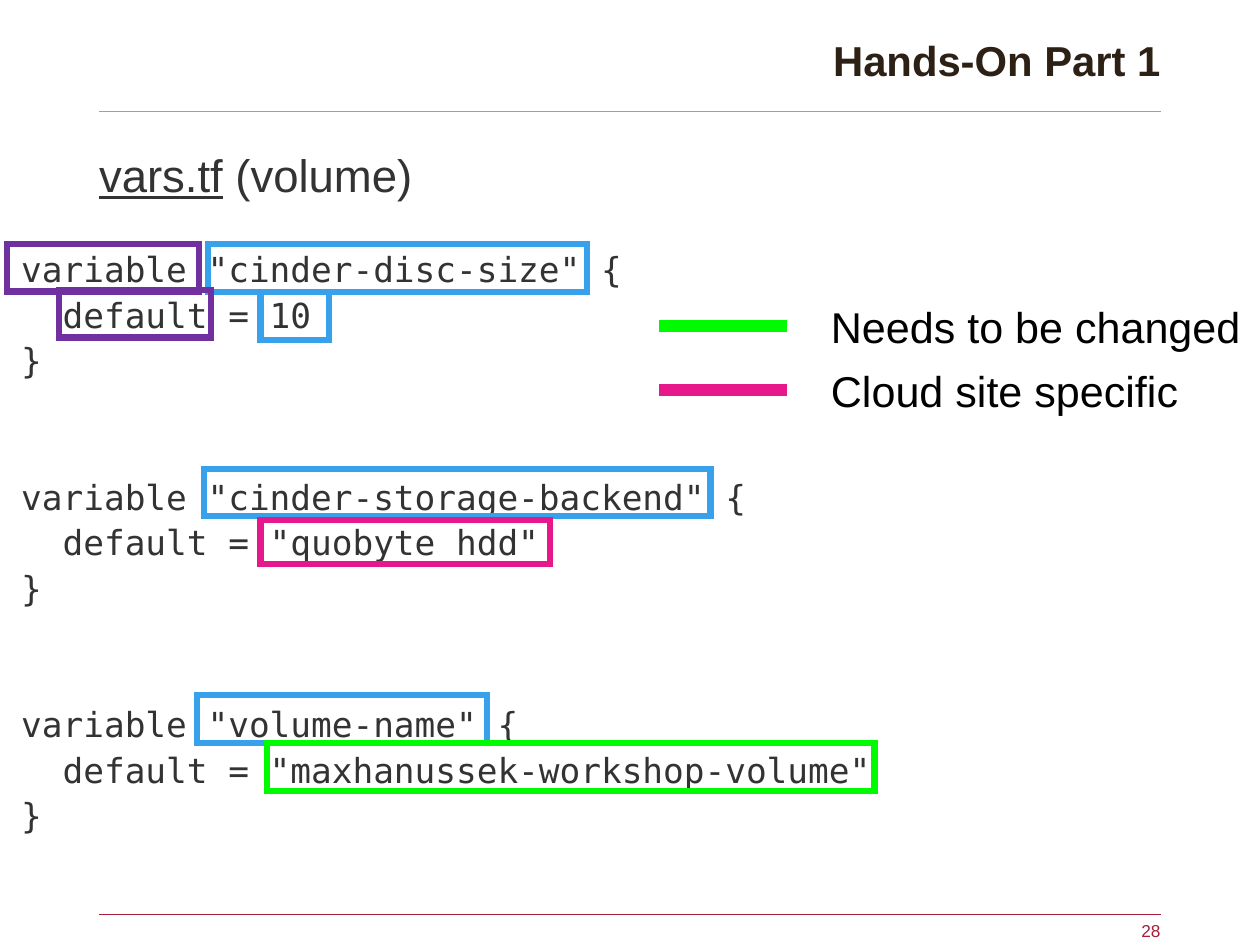
from lxml import etree
from pptx import Presentation
from pptx.dml.color import RGBColor
from pptx.enum import shapes, text
from pptx.oxml import ns
from pptx.util import Cm, Pt

GOLD = RGBColor(0xB4, 0xA0, 0x69)
CRIMSON = RGBColor(0xA5, 0x1E, 0x37)
BROWN = RGBColor(0x2D, 0x20, 0x15)
GRAY = RGBColor(0x33, 0x33, 0x33)
BLACK = RGBColor(0, 0, 0)
BLUE = RGBColor(0x37, 0xA2, 0xEB)
PINK = RGBColor(0xE7, 0x17, 0x8C)
GREEN = RGBColor(0, 0xFA, 0)
PURPLE = RGBColor(0x70, 0x30, 0xA0)

presentation = Presentation()
presentation.slide_width = Cm(36.12)
presentation.slide_height = Cm(27.1)
slide = presentation.slides.add_slide(presentation.slide_layouts[6])


def add_text(content, left, top, width, height, size, color, font="Arial", bold=False,
             align=text.PP_ALIGN.LEFT, anchor=text.MSO_ANCHOR.TOP, spacing=1.0,
             block_gap=0, inset=(0, 0), wrap=True, underlined=""):
    box = slide.shapes.add_textbox(Cm(left), Cm(top), Cm(width), Cm(height))
    frame = box.text_frame
    frame.word_wrap = wrap
    frame.vertical_anchor = anchor
    frame.margin_left = frame.margin_right = Cm(inset[0])
    frame.margin_top = frame.margin_bottom = Cm(inset[1])
    blocks = content if isinstance(content, list) else [[content]]
    for block_index, block in enumerate(blocks):
        for line_index, line in enumerate(block):
            first = block_index == line_index == 0
            paragraph = frame.paragraphs[0] if first else frame.add_paragraph()
            paragraph.alignment = align
            paragraph.line_spacing = spacing
            if block_index and line_index == 0:
                paragraph.space_before = Pt(block_gap)
            for part in filter(None, (underlined, line)):
                run = paragraph.add_run()
                run.text = part
                run.font.name = font
                run.font.size = Pt(size)
                run.font.bold = bold
                run.font.color.rgb = color
                run.font.underline = part == underlined


def add_line(left, right, y, color, width):
    line = slide.shapes.add_connector(shapes.MSO_CONNECTOR.STRAIGHT, Cm(left), Cm(y), Cm(right), Cm(y))
    line.line.color.rgb = color
    line.line.width = Pt(width)
    etree.SubElement(line._element.spPr, ns.qn("a:effectLst"))


for y, color in ((3.2, GOLD), (26.21, CRIMSON)):
    add_line(2.84, 33.27, y, color, 0.75)

add_text("Hands-On Part 1", 10.59, 0.99, 22.68, 1.45, 34, BROWN, bold=True,
         align=text.PP_ALIGN.RIGHT, anchor=text.MSO_ANCHOR.BOTTOM)
add_text("28", 32.08, 26.39, 1.19, 0.61, 14, CRIMSON,
         align=text.PP_ALIGN.RIGHT, anchor=text.MSO_ANCHOR.MIDDLE)

variables = (
    ("cinder-disc-size", "10"),
    ("cinder-storage-backend", '"quobyte_hdd"'),
    ("volume-name", '"maxhanussek-workshop-volume"'),
)
code = [[f'variable "{name}" {{', f"  default = {value}", "}"] for name, value in variables]
add_text(code, 0.61, 7.01, 34.82, 17.2, 28, GRAY, font="DejaVu Sans Mono",
         spacing=1.1, block_gap=74)
add_text(" (volume)", 2.84, 4.06, 14.48, 2.57, 37, GRAY, spacing=1.1, underlined="vars.tf")

highlights = (
    (5.97, 7.01, 10.87, 1.37, BLUE),
    (7.47, 8.38, 1.96, 1.37, BLUE),
    (5.84, 13.44, 14.53, 1.37, BLUE),
    (7.47, 14.91, 8.31, 1.27, PINK),
    (5.66, 19.94, 8.31, 1.37, BLUE),
    (7.65, 21.31, 17.42, 1.37, GREEN),
    (1.68, 8.31, 4.37, 1.37, PURPLE),
    (0.2, 7.01, 5.51, 1.35, PURPLE),
)
for left, top, width, height, color in highlights:
    highlight = slide.shapes.add_shape(shapes.MSO_SHAPE.RECTANGLE, Cm(left), Cm(top), Cm(width), Cm(height))
    highlight.shadow.inherit = False
    highlight.fill.background()
    highlight.line.color.rgb = color
    highlight.line.width = Pt(5)
    outline = highlight._element.spPr.find(ns.qn("a:ln"))
    etree.SubElement(outline, ns.qn("a:miter"), lim="800000")

legend = (("Needs to be changed", GREEN), ("Cloud site specific", PINK))
for index, (label, color) in enumerate(legend):
    offset = 1.83 * index
    add_line(18.9, 22.56, 9.35 + offset, color, 10)
    add_text(label, 23.57, 8.48 + offset, 12.55, 1.75, 35, BLACK, inset=(0.25, 0.13), wrap=False)

presentation.save("out.pptx")
